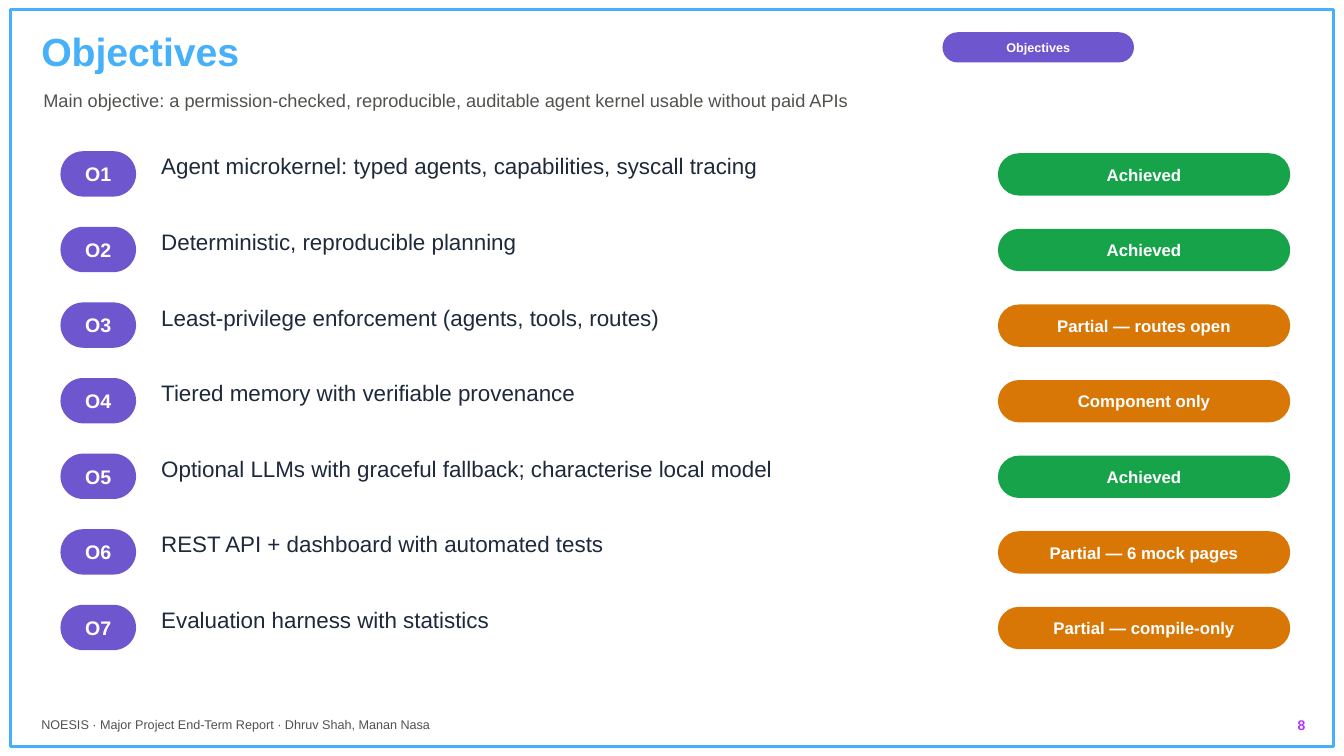
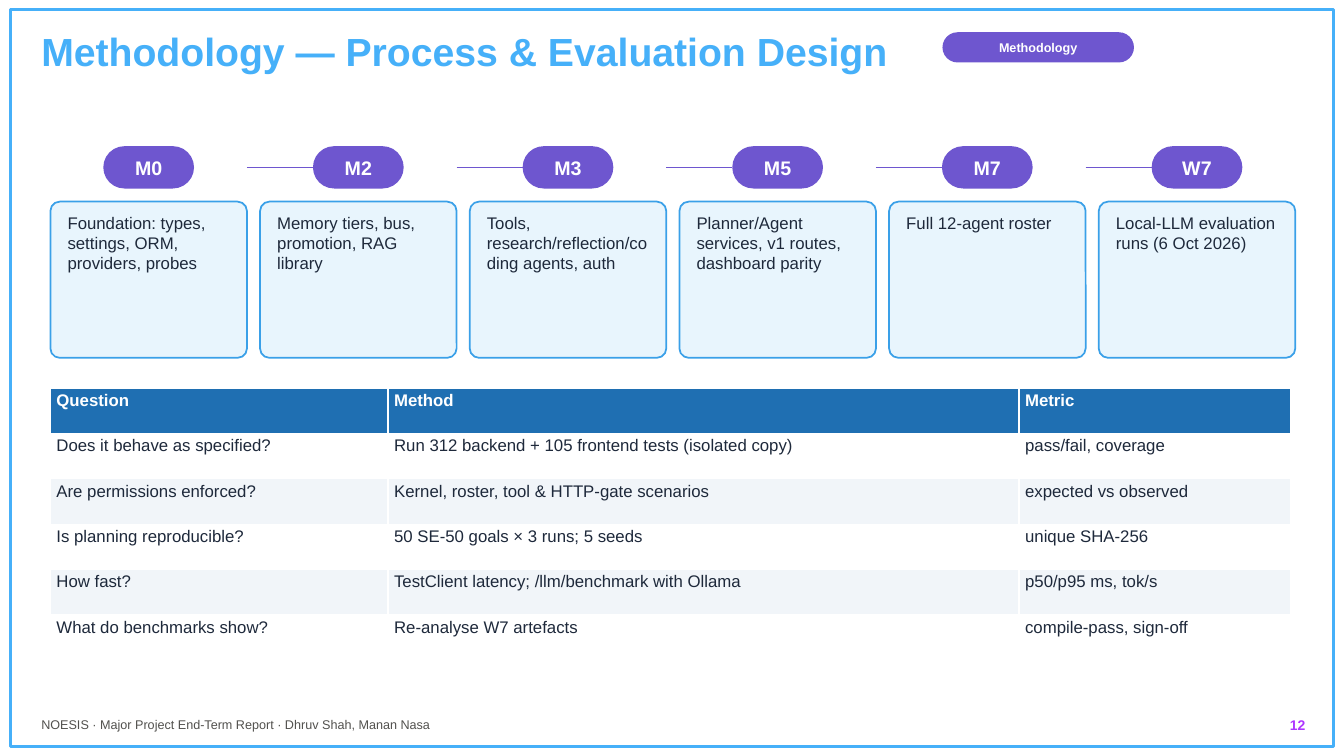
from dataclasses import dataclass

from lxml import etree
from pptx import Presentation
from pptx import util as u
from pptx.dml.color import RGBColor
from pptx.enum import shapes, text
from pptx.oxml.ns import qn

UNIT = u.Inches(0.1)
COLUMNS, ROWS = 133.33, 75
FONT = "Arial"
SKY, PURPLE, VIOLET = "46B0F9", "6E56CF", "AE36FF"
GREEN, AMBER = "16A34A", "D97706"
INK, GREY, WHITE = "1E293B", "52514E", "FFFFFF"
CARD_FILL, CARD_EDGE = "E8F5FD", "3AA0E8"
HEADER_BLUE, BAND = "1F6FB2", "F1F5F9"
FOOTER = "NOESIS · Major Project End-Term Report · Dhruv Shah, Manan Nasa"

OBJECTIVES = [
    ("O1", "Agent microkernel: typed agents, capabilities, syscall tracing", "Achieved"),
    ("O2", "Deterministic, reproducible planning", "Achieved"),
    ("O3", "Least-privilege enforcement (agents, tools, routes)", "Partial — routes open"),
    ("O4", "Tiered memory with verifiable provenance", "Component only"),
    ("O5", "Optional LLMs with graceful fallback; characterise local model", "Achieved"),
    ("O6", "REST API + dashboard with automated tests", "Partial — 6 mock pages"),
    ("O7", "Evaluation harness with statistics", "Partial — compile-only"),
]
MILESTONES = [
    ("M0", "Foundation: types, settings, ORM, providers, probes"),
    ("M2", "Memory tiers, bus, promotion, RAG library"),
    ("M3", "Tools, research/reflection/coding agents, auth"),
    ("M5", "Planner/Agent services, v1 routes, dashboard parity"),
    ("M7", "Full 12-agent roster"),
    ("W7", "Local-LLM evaluation runs (6 Oct 2026)"),
]
EVALUATION = [
    ("Question", "Method", "Metric"),
    ("Does it behave as specified?", "Run 312 backend + 105 frontend tests (isolated copy)",
     "pass/fail, coverage"),
    ("Are permissions enforced?", "Kernel, roster, tool & HTTP-gate scenarios",
     "expected vs observed"),
    ("Is planning reproducible?", "50 SE-50 goals × 3 runs; 5 seeds", "unique SHA-256"),
    ("How fast?", "TestClient latency; /llm/benchmark with Ollama", "p50/p95 ms, tok/s"),
    ("What do benchmarks show?", "Re-analyse W7 artefacts", "compile-pass, sign-off"),
]


@dataclass
class Box:
    left: float
    top: float
    width: float
    height: float

    def area(self, left, top, width, height):
        return Box(self.left + left, self.top + top, width, height)

    def emu(self):
        return [round(n * UNIT) for n in (self.left, self.top, self.width, self.height)]


PAGE = Box(0, 0, COLUMNS, ROWS)


def color(value):
    return RGBColor.from_string(value)


def add_run(paragraph, words, size, ink, bold=False):
    run = paragraph.add_run()
    run.text = words
    run.font.name = FONT
    run.font.size = u.Pt(size)
    run.font.bold = bold
    run.font.color.rgb = color(ink)


def set_margins(holder, across, down):
    holder.margin_left = holder.margin_right = u.Inches(across)
    holder.margin_top = holder.margin_bottom = u.Inches(down)


def add_text(slide, box, words, size, ink, bold=False, align=text.PP_ALIGN.LEFT, spacing=1.05):
    frame = slide.shapes.add_textbox(*box.emu()).text_frame
    frame.word_wrap = True
    set_margins(frame, 0.05, 0.03)
    paragraph = frame.paragraphs[0]
    paragraph.alignment = align
    paragraph.line_spacing = spacing
    paragraph.space_after = u.Pt(4)
    add_run(paragraph, words, size, ink, bold)


def add_panel(slide, box, kind, fill=None, edge=None, weight=1.25, rounding=None):
    shape = slide.shapes.add_shape(kind, *box.emu())
    shape.shadow.inherit = False
    if fill:
        shape.fill.solid()
        shape.fill.fore_color.rgb = color(fill)
    else:
        shape.fill.background()
    if edge:
        shape.line.color.rgb = color(edge)
        shape.line.width = u.Pt(weight)
    else:
        shape.line.fill.background()
    if rounding is not None:
        shape.adjustments[0] = rounding
    return shape


def add_pill(slide, box, words, size, fill=PURPLE):
    kind = shapes.MSO_SHAPE.ROUNDED_RECTANGLE
    frame = add_panel(slide, box, kind, fill, rounding=0.5).text_frame
    frame.word_wrap = True
    frame.vertical_anchor = text.MSO_ANCHOR.MIDDLE
    set_margins(frame, 0.03, 0)
    paragraph = frame.paragraphs[0]
    paragraph.alignment = text.PP_ALIGN.CENTER
    add_run(paragraph, words, size, WHITE, True)


def add_link(slide, left, right, middle):
    ends = [round(n * UNIT) for n in (left, middle, right, middle)]
    connector = slide.shapes.add_connector(shapes.MSO_CONNECTOR.STRAIGHT, *ends)
    connector.line.color.rgb = color(PURPLE)
    connector.line.width = u.Pt(1)
    properties = connector._element.find(qn("p:spPr"))
    etree.SubElement(properties, qn("a:effectLst"))


def add_page(presentation, title, section, number):
    slide = presentation.slides.add_slide(presentation.slide_layouts[6])
    slide.background.fill.solid()
    slide.background.fill.fore_color.rgb = color(WHITE)
    add_panel(slide, PAGE.area(1.05, 0.95, 131.2, 73.1), shapes.MSO_SHAPE.RECTANGLE,
              edge=SKY, weight=2.25)
    add_text(slide, PAGE.area(3.6, 2.2, 109, 6.5), title, 28, SKY, True)
    add_text(slide, PAGE.area(3.6, 70.7, 75, 3), FOOTER, 9, GREY)
    add_text(slide, PAGE.area(116, 70.7, 14, 3), number, 10, VIOLET, True, text.PP_ALIGN.RIGHT)
    add_pill(slide, PAGE.area(93.5, 3.2, 19, 3), section, 9)
    return slide


def add_objectives(slide, box):
    pitch = box.height / len(OBJECTIVES)
    for index, (code, goal, status) in enumerate(OBJECTIVES):
        row = box.area(0, index * pitch, box.width, pitch)
        add_pill(slide, row.area(0, 0, 7.5, 4.5), code, 14)
        add_text(slide, row.area(9.5, -0.3, 82, 5.5), goal, 16, INK)
        fill = GREEN if status == "Achieved" else AMBER
        add_pill(slide, row.area(row.width - 29, 0.2, 29, 4.2), status, 12, fill)


def add_timeline(slide, box):
    gap, pill_width, pill_height = 1.3, 9, 4.2
    width = (box.width - gap * (len(MILESTONES) - 1)) / len(MILESTONES)
    inset = (width - pill_width) / 2
    for index, (code, summary) in enumerate(MILESTONES):
        column = box.area(index * (width + gap), 0, width, box.height)
        if index:
            add_link(slide, column.left - gap, column.left + inset, column.top + pill_height / 2)
        add_pill(slide, column.area(inset, 0, pill_width, pill_height), code, 14)
        card = column.area(0, 5.5, width, box.height - 5.5)
        add_panel(slide, card, shapes.MSO_SHAPE.ROUNDED_RECTANGLE, CARD_FILL, CARD_EDGE,
                  rounding=0.06)
        add_text(slide, card.area(1.2, 0.8, width - 2.4, card.height - 1.5), summary, 12, INK,
                 spacing=1)


def add_evaluation(slide, box):
    widths = (33.5, 62.6, 26.9)
    frame = slide.shapes.add_table(len(EVALUATION), len(widths), *box.emu())
    table = frame.table
    for column, width in zip(table.columns, widths):
        column.width = round(width * UNIT)
    for row_index, values in enumerate(EVALUATION):
        header = row_index == 0
        fill = HEADER_BLUE if header else WHITE if row_index % 2 else BAND
        for column_index, value in enumerate(values):
            cell = table.cell(row_index, column_index)
            cell.fill.solid()
            cell.fill.fore_color.rgb = color(fill)
            set_margins(cell, 0.06, 0.03)
            add_run(cell.text_frame.paragraphs[0], value, 12, WHITE if header else INK, header)


def build_objectives(presentation):
    slide = add_page(presentation, "Objectives", "Objectives", "8")
    add_text(slide, PAGE.area(3.8, 8.5, 109, 4),
             "Main objective: a permission-checked, reproducible, auditable agent kernel "
             "usable without paid APIs", 13, GREY)
    add_objectives(slide, PAGE.area(6, 15, 122, 52.5))


def build_methodology(presentation):
    slide = add_page(presentation, "Methodology — Process & Evaluation Design",
                     "Methodology", "12")
    add_timeline(slide, PAGE.area(5, 14.5, 123.5, 21))
    add_evaluation(slide, PAGE.area(5, 38.5, 123, 27))


def main():
    presentation = Presentation()
    presentation.slide_width = round(COLUMNS * UNIT)
    presentation.slide_height = round(ROWS * UNIT)
    build_objectives(presentation)
    build_methodology(presentation)
    presentation.save("out.pptx")


if __name__ == "__main__":
    main()
